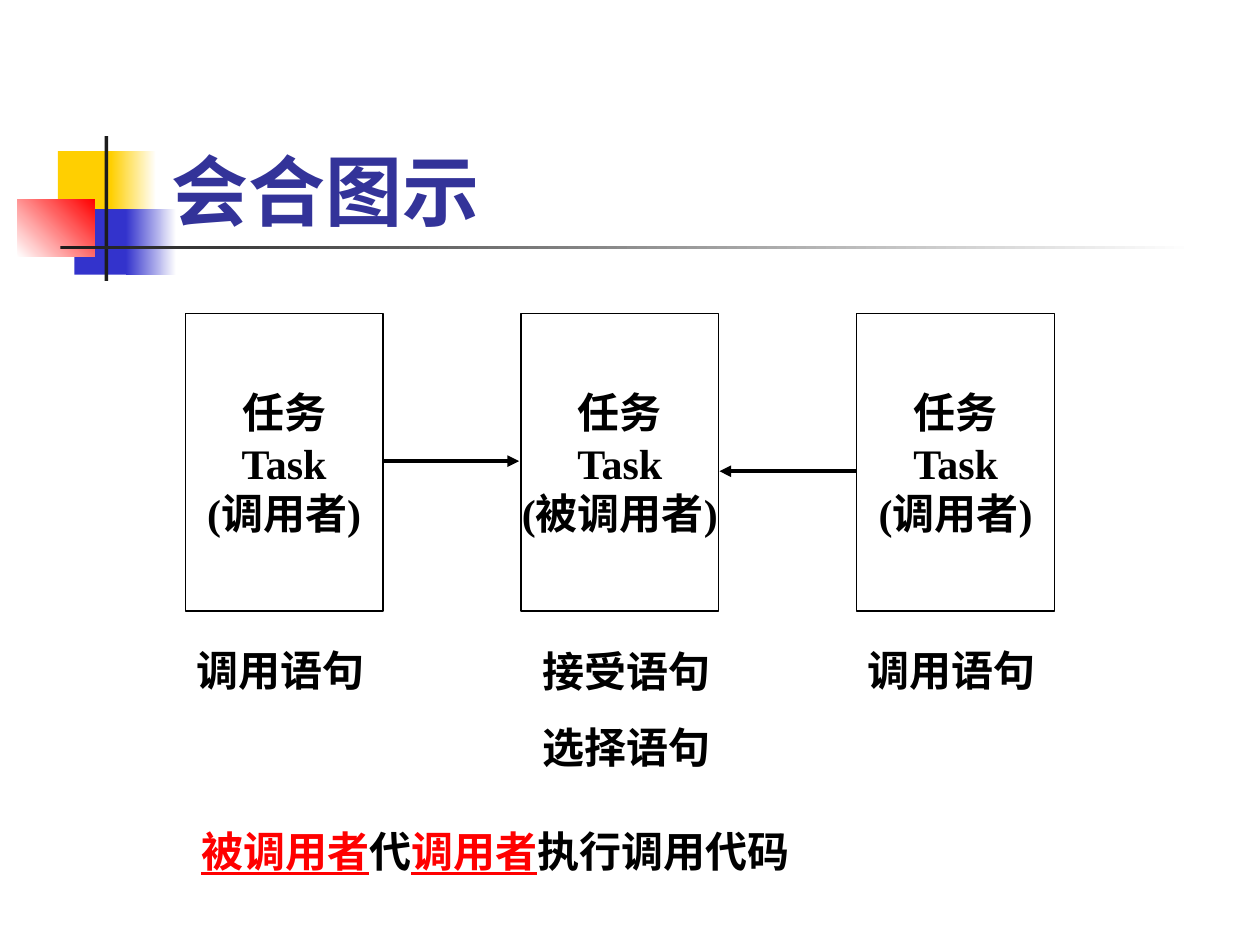
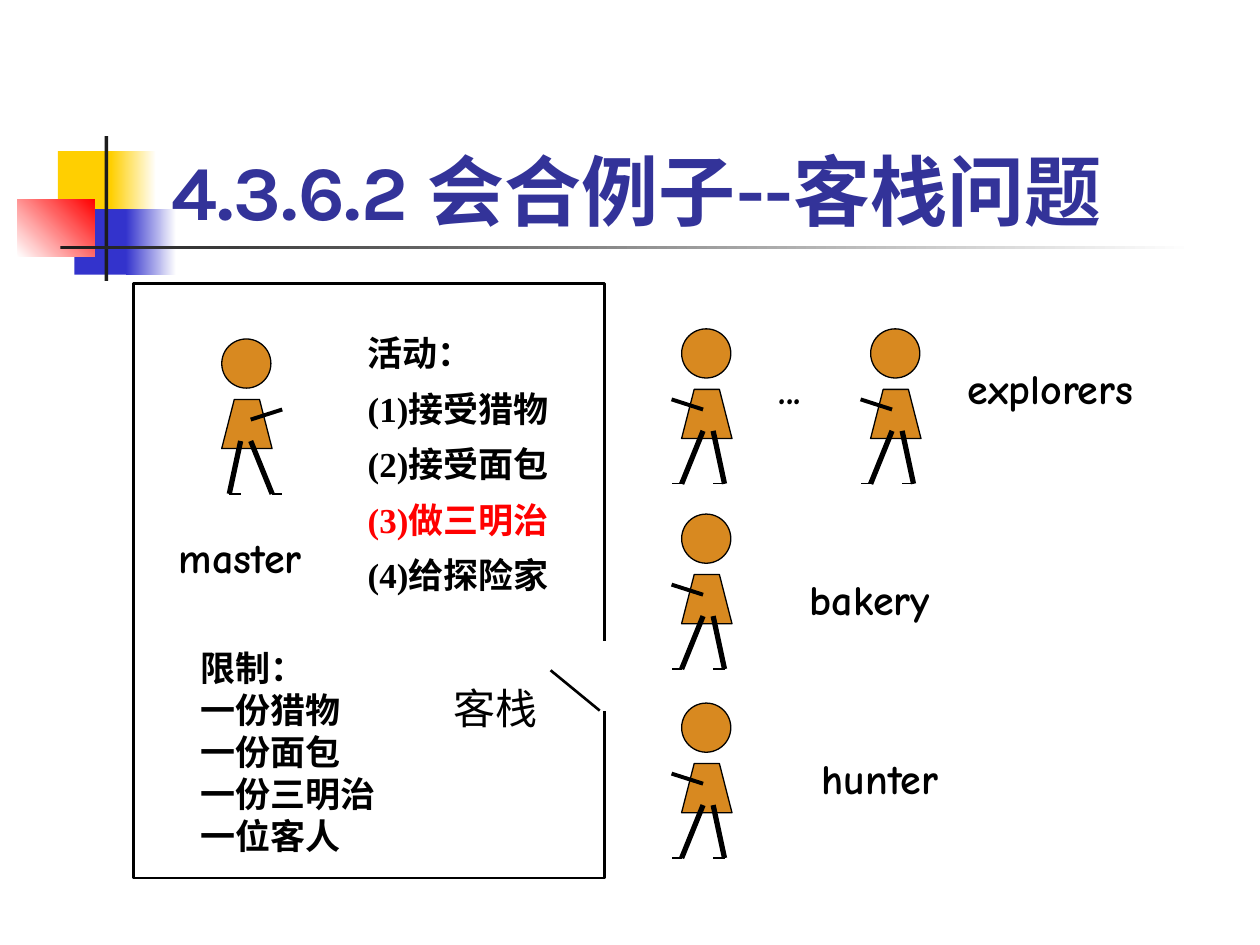
from lxml import etree
from pptx import Presentation
from pptx.dml.color import RGBColor
from pptx.enum.dml import MSO_LINE
from pptx.enum.shapes import MSO_CONNECTOR, MSO_SHAPE
from pptx.enum.text import MSO_ANCHOR, MSO_AUTO_SIZE, PP_ALIGN
from pptx.oxml.ns import qn
from pptx.util import Inches, Pt

RECTANGLE = MSO_SHAPE.RECTANGLE
OVAL = MSO_SHAPE.OVAL
STRAIGHT = MSO_CONNECTOR.STRAIGHT
SOLID = MSO_LINE.SOLID
MIDDLE, BOTTOM = MSO_ANCHOR.MIDDLE, MSO_ANCHOR.BOTTOM
LEFT, CENTER = PP_ALIGN.LEFT, PP_ALIGN.CENTER
NO_FIT, FIT_SHAPE = MSO_AUTO_SIZE.NONE, MSO_AUTO_SIZE.SHAPE_TO_FIT_TEXT

BLACK, WHITE, RED = "000000", "FFFFFF", "FF0000"
YELLOW, BLUE, INK = "FFCF01", "3333CC", "1C1C1C"
TITLE_BLUE, ORANGE = "333399", "D88920"
color = RGBColor.from_string

SERIF = {"name": "Times New Roman", "size": Pt(24), "bold": True, "color": BLACK}
SMALL_SERIF = {**SERIF, "size": Pt(20)}
COMIC = {**SERIF, "name": "Comic Neue"}
PLAIN = {**SERIF, "name": "Karla", "bold": False}
TITLE = {"name": "Karla", "size": Pt(44), "bold": True, "color": TITLE_BLUE}


def write(frame, lines, text_format, para_format):
    """Fill a frame; a line is a string or a list of (text, format changes)."""
    for index, line in enumerate(lines):
        para = frame.add_paragraph() if index else frame.paragraphs[0]
        for name, value in para_format.items():
            if index or name != "space_before":
                setattr(para, name, value)
        for text, changes in [(line, {})] if isinstance(line, str) else line:
            span = para.add_run()
            span.text = text
            for name, value in {**text_format, **changes}.items():
                if name == "color":
                    span.font.color.rgb = color(value)
                else:
                    setattr(span.font, name, value)


def draw_line(page, start, end, width, arrow=False):
    line = page.shapes.add_connector(STRAIGHT, *map(Inches, start + end))
    line.line.color.rgb = color(BLACK)
    line.line.width = Pt(width)
    if arrow:
        line.line.dash_style = SOLID
        outline = line.element.spPr.find(qn("a:ln"))
        etree.SubElement(outline, qn("a:tailEnd"), type="triangle")
    etree.SubElement(line.element.spPr, qn("a:effectLst"))


deck = Presentation()
deck.slide_width, deck.slide_height = Inches(10), Inches(7.5)
layout = deck.slide_layouts[5]
for holder in list(layout.placeholders)[1:]:
    holder.element.getparent().remove(holder.element)

pages = []
for title_text in ["会合图示", "4.3.6.2 会合例子--客栈问题"]:
    page = deck.slides.add_slide(layout)
    title = page.shapes.title
    title.left, title.top = Inches(1.26), Inches(0.67)
    title.width, title.height = Inches(8.52), Inches(1.25)
    title.text_frame.auto_size = NO_FIT
    title.text_frame.vertical_anchor = BOTTOM
    write(title.text_frame, [title_text], TITLE, {"alignment": LEFT})
    pages.append(page)
meeting, inn = pages

# Shared band: drawn once, then moved into the layout behind the titles
bands = [
    ((0.46, 1.2, 0.48, 0.52), [YELLOW], 0),
    ((0.88, 1.2, 0.36, 0.52), [YELLOW, WHITE], 0),
    ((0.59, 1.66, 0.46, 0.52), [BLUE], 0),
    ((1, 1.66, 0.4, 0.52), [BLUE, WHITE], 0),
    ((0.14, 1.58, 0.61, 0.46), [WHITE, RED], 45),
    ((0.83, 1.08, 0.03, 1.15), [INK], 0),
    ((0.48, 1.95, 9, 0.03), [INK, WHITE], 0),
]
for place, shades, angle in bands:
    band = meeting.shapes.add_shape(RECTANGLE, *map(Inches, place))
    band.shadow.inherit = False
    band.line.fill.background()
    if len(shades) == 1:
        band.fill.solid()
        band.fill.fore_color.rgb = color(shades[0])
    else:
        band.fill.gradient()
        band.fill.gradient_angle = angle
        for stop, shade in zip(band.fill.gradient_stops, shades):
            stop.color.rgb = color(shade)
    layout.shapes.element.append(band.element)

# Slide 1: three tasks
for column, role in enumerate(["(调用者)", "(被调用者)", "(调用者)"]):
    task = meeting.shapes.add_shape(
        RECTANGLE, Inches(1.47 + 2.665 * column), Inches(2.49), Inches(1.57), Inches(2.36))
    task.shadow.inherit = False
    task.fill.background()
    task.line.color.rgb = color(BLACK)
    task.line.width = Pt(0.75)
    task.text_frame.word_wrap = False
    task.text_frame.vertical_anchor = MIDDLE
    write(task.text_frame, ["任务", "Task", role], SERIF, {"alignment": CENTER})

draw_line(meeting, (3.04, 3.66), (4.12, 3.66), 2.25, arrow=True)
draw_line(meeting, (6.79, 3.74), (5.71, 3.74), 2.25, arrow=True)

# Slide 2: the inn, its doorway and its door
for place, edge, width in [
    ((1.06, 2.25, 3.74, 4.72), BLACK, 1.5),
    ((4.53, 5.09, 0.39, 0.55), WHITE, 0.75),
]:
    wall = inn.shapes.add_shape(RECTANGLE, *map(Inches, place))
    wall.shadow.inherit = False
    wall.fill.solid()
    wall.fill.fore_color.rgb = color(WHITE)
    wall.line.color.rgb = color(edge)
    wall.line.width = Pt(width)
draw_line(inn, (4.37, 5.32), (4.76, 5.64), 1.5)

# People: centre, top, and the side they face (1 is right)
BODY = [(-0.2, 0.87), (-0.1, 0.48), (0.1, 0.48), (0.2, 0.87)]
LIMBS = [
    ((-0.05, 0.81), (-0.14, 1.23), 3),
    ((0.03, 0.81), (0.2, 1.23), 3),
    ((-0.14, 1.23), (-0.05, 1.23), 0.75),
    ((0.2, 1.23), (0.28, 1.23), 0.75),
    ((0.03, 0.64), (0.28, 0.56), 2.25),
]
people = [(1.96, 2.69, 1), (5.61, 2.61, -1), (7.11, 2.61, -1),
          (5.61, 4.08, -1), (5.61, 5.58, -1)]
for center, top, side in people:
    corners = [(Inches(center + x), Inches(top + y)) for x, y in BODY]
    builder = inn.shapes.build_freeform(*corners[0])
    builder.add_line_segments(corners[1:], close=True)
    body = builder.convert_to_shape()
    head = inn.shapes.add_shape(
        OVAL, Inches(center - 0.2), Inches(top), Inches(0.39), Inches(0.39))
    for part in (body, head):
        part.shadow.inherit = False
        part.fill.solid()
        part.fill.fore_color.rgb = color(ORANGE)
        part.line.color.rgb = color(BLACK)
        part.line.width = Pt(0.75)
    for start, end, width in LIMBS:
        joints = [(center + side * x, top + y) for x, y in (start, end)]
        draw_line(inn, *joints, width)

# Text boxes of both slides
spaced = {"space_before": Pt(15)}
tight = {"space_before": Pt(12.5), "line_spacing": 0.8}
marked = {"color": RED, "underline": True}
texts = [
    (meeting, (1.46, 5.07, 1.58, 0.5), ["调用语句"], SERIF, spaced),
    (meeting, (6.79, 5.07, 1.58, 0.5), ["调用语句"], SERIF, spaced),
    (meeting, (4.21, 5.07, 1.58, 1.11), ["接受语句", "选择语句"], SERIF, spaced),
    (meeting, (1.5, 6.5, 6.67, 0.5),
     [[("被调用者", marked), ("代", {}), ("调用者", marked), ("执行调用代码", {})]],
     SERIF, spaced),
    (inn, (6.08, 2.83, 0.67, 0.5), ["..."], COMIC, spaced),
    (inn, (7.58, 2.83, 1.75, 0.5), ["explorers"], COMIC, spaced),
    (inn, (6.33, 4.5, 1.5, 0.5), ["bakery"], COMIC, spaced),
    (inn, (6.42, 5.92, 1.5, 0.5), ["hunter"], COMIC, spaced),
    (inn, (1.32, 4.17, 1.33, 0.5), ["master"], COMIC, spaced),
    (inn, (2.82, 2.65, 1.83, 2.13),
     ["活动：", "(1)接受猎物", "(2)接受面包", [("(3)做三明治", {"color": RED})], "(4)给探险家"],
     SMALL_SERIF, tight),
    (inn, (1.49, 5.08, 2.5, 1.77),
     ["限制：", "一份猎物", "一份面包", "一份三明治", "一位客人"], SMALL_SERIF, {}),
    (inn, (3.5, 5.37, 0.87, 0.5), ["客栈"], PLAIN, spaced),
]
for page, place, lines, text_format, para_format in texts:
    box = page.shapes.add_textbox(*map(Inches, place))
    box.text_frame.word_wrap = True
    box.text_frame.auto_size = FIT_SHAPE
    write(box.text_frame, lines, text_format, para_format)

deck.save("out.pptx")
